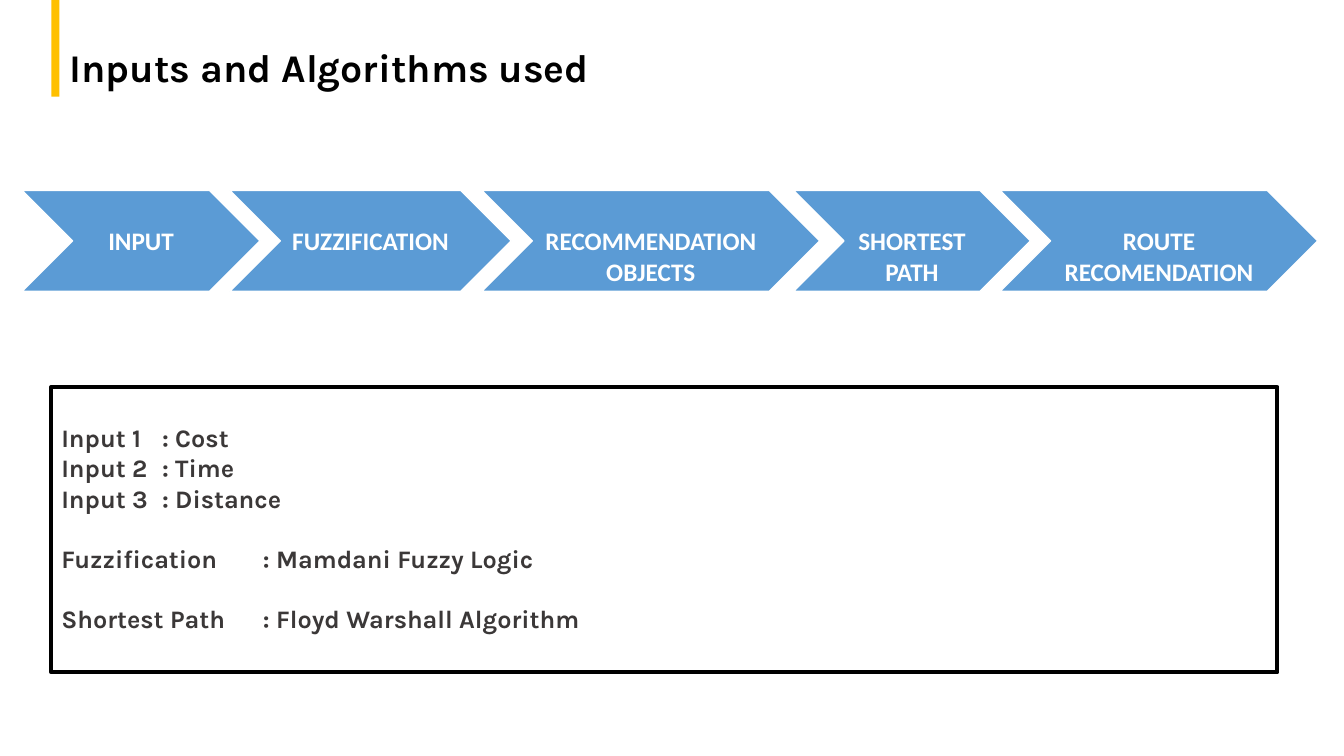
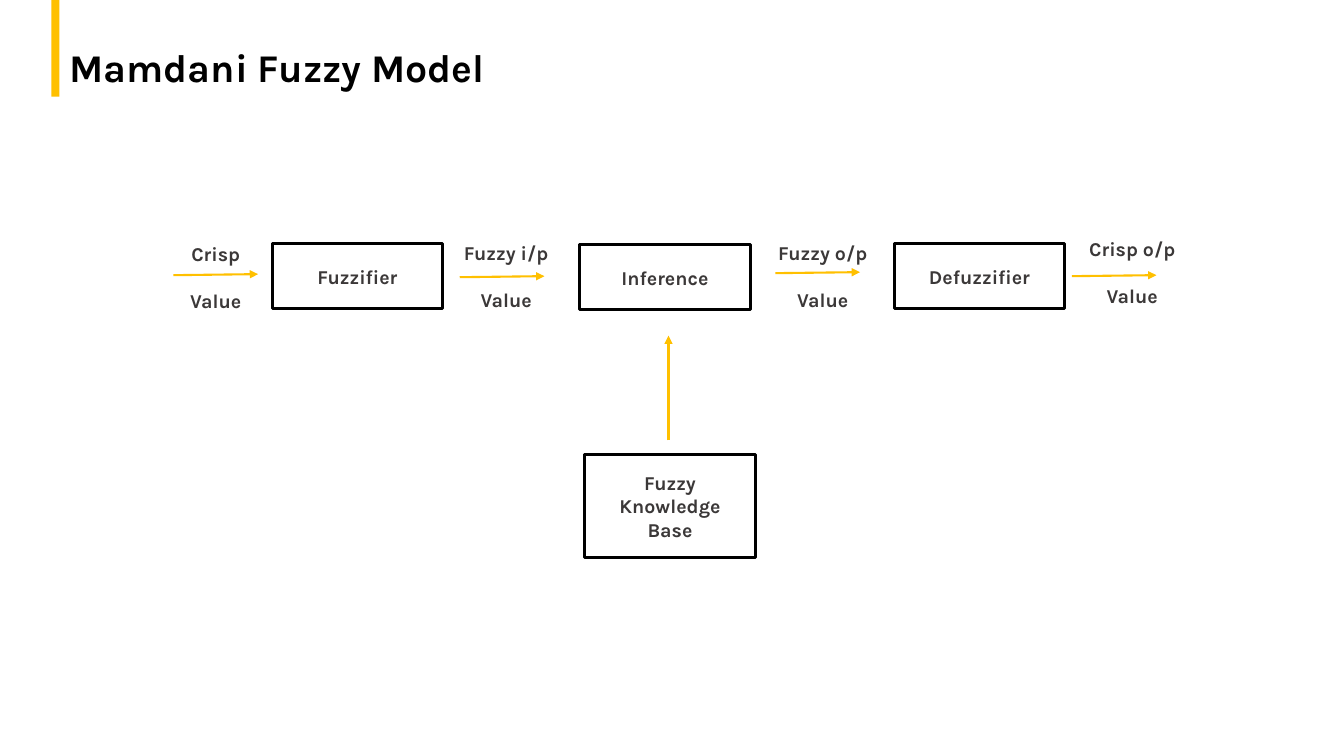
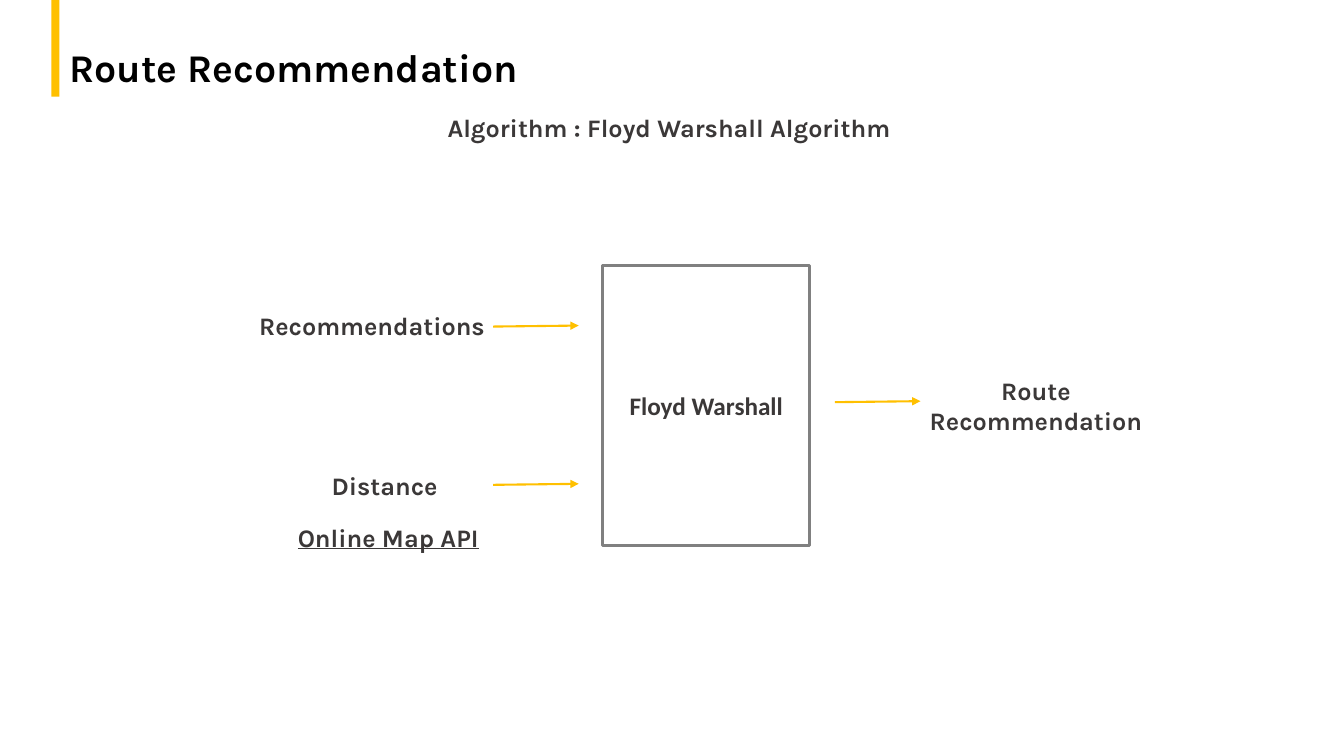
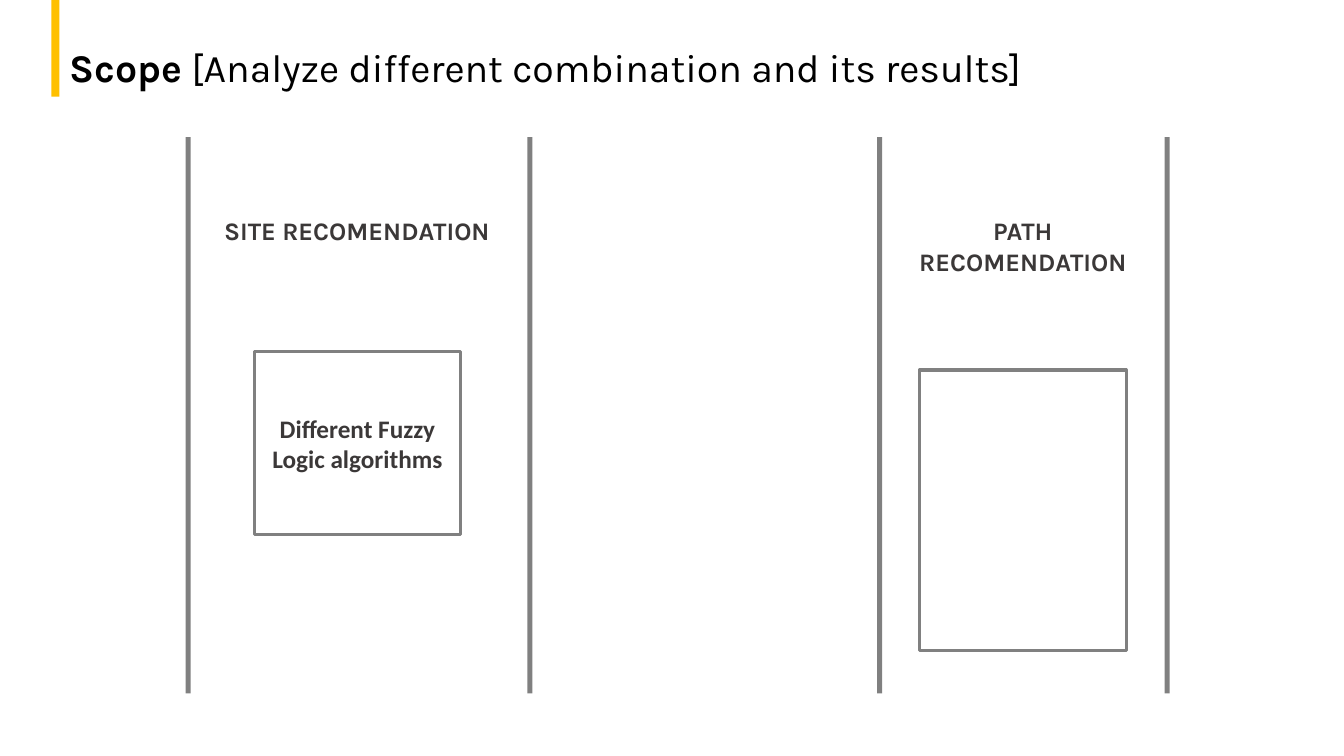
import pptx
import pptx.util
import pptx.dml.color
import pptx.enum.shapes
import pptx.enum.text
import pptx.oxml.ns
from lxml import etree

Inches = pptx.util.Inches
Pt = pptx.util.Pt
SHAPE = pptx.enum.shapes.MSO_SHAPE
ALIGN = pptx.enum.text.PP_ALIGN
ANCHOR = pptx.enum.text.MSO_ANCHOR

COLORS = {
    "accent": "FFC000",
    "chevron": "5B9BD5",
    "white": "FFFFFF",
    "black": "000000",
    "text": "3B3838",
    "gray": "808080",
}
HEADING_FONT = "Karla"
BODY_FONT = "Calibri"


def rgb(name):
    return pptx.dml.color.RGBColor.from_string(COLORS[name])


def style_font(font, size, color="text", family=HEADING_FONT, bold=True):
    font.name = family
    font.size = Pt(size)
    font.bold = bold
    font.color.rgb = rgb(color)


def write_lines(frame, lines, size=18, align=ALIGN.CENTER, anchor=ANCHOR.TOP,
                gap=0, gap_before=(), **font_style):
    """Fill a frame; lines whose index is in gap_before get extra space above."""
    frame.word_wrap = True
    frame.vertical_anchor = anchor
    for index, line in enumerate(lines):
        paragraph = frame.paragraphs[0] if index == 0 else frame.add_paragraph()
        paragraph.text = line
        paragraph.alignment = align
        if index in gap_before:
            paragraph.space_before = Pt(gap)
        style_font(paragraph.font, size, **font_style)


def add_block(slide, box, fill=None, line=None, line_width=2.25,
              kind=SHAPE.RECTANGLE):
    block = slide.shapes.add_shape(kind, *map(Inches, box))
    block.shadow.inherit = False
    if fill:
        block.fill.solid()
        block.fill.fore_color.rgb = rgb(fill)
    else:
        block.fill.background()
    if line:
        block.line.color.rgb = rgb(line)
        block.line.width = Pt(line_width)
    else:
        block.line.fill.background()
    return block


def add_label(slide, box, *lines, **text_style):
    label = slide.shapes.add_textbox(*map(Inches, box))
    write_lines(label.text_frame, lines, **text_style)
    return label


def add_framed_text(slide, box, *lines, line="gray", **text_style):
    framed = add_block(slide, box, line=line)
    write_lines(framed.text_frame, lines, anchor=ANCHOR.MIDDLE, **text_style)


def add_arrow(slide, start, end):
    arrow = slide.shapes.add_connector(
        pptx.enum.shapes.MSO_CONNECTOR.STRAIGHT, *map(Inches, start + end))
    arrow.line.color.rgb = rgb("accent")
    arrow.line.width = Pt(1.5)
    qn = pptx.oxml.ns.qn
    etree.SubElement(arrow.line._get_or_add_ln(), qn("a:tailEnd"), type="triangle")
    etree.SubElement(arrow._element.spPr, qn("a:effectLst"))


def add_titled_slide(deck, heading, detail="", width=6.17):
    """Title-only slide with the shared accent bar and title style."""
    slide = deck.slides.add_slide(deck.slide_layouts[5])
    add_block(slide, (0.51, 0, 0.08, 0.96), fill="accent")
    title = slide.shapes.title
    title.left, title.top = Inches(0.59), Inches(0.38)
    title.width, title.height = Inches(width), Inches(0.57)
    title.text_frame.auto_size = pptx.enum.text.MSO_AUTO_SIZE.NONE
    write_lines(title.text_frame, [heading], size=28, align=ALIGN.LEFT, color="black")
    if detail:
        detail_run = title.text_frame.paragraphs[0].add_run()
        detail_run.text = detail
        detail_run.font.bold = False
    return slide


def build_inputs(deck):
    slide = add_titled_slide(deck, "Inputs and Algorithms used")

    # Process chevrons
    steps = [
        (0.22, 2.36, "INPUT"),
        (2.28, 2.79, "FUZZIFICATION"),
        (4.78, 3.35, "RECOMMENDATION OBJECTS"),
        (7.87, 2.35, "SHORTEST PATH"),
        (9.92, 3.15, "ROUTE RECOMENDATION"),
    ]
    for left, width, name in steps:
        step = add_block(slide, (left, 1.89, width, 1), fill="chevron",
                         line="white", line_width=1, kind=SHAPE.CHEVRON)
        step.text_frame.margin_top = Inches(0.35)
        write_lines(step.text_frame, [name], color="white", family=BODY_FONT)

    # Inputs and algorithms panel
    panel = add_block(slide, (0.51, 3.84, 12.16, 2.83), fill="white",
                      line="black", line_width=3)
    panel.text_frame.margin_top = Inches(0.35)
    write_lines(panel.text_frame, [
        "Input 1\t: Cost",
        "Input 2\t: Time",
        "Input 3\t: Distance",
        "Fuzzification\t: Mamdani Fuzzy Logic",
        "Shortest Path\t: Floyd Warshall Algorithm",
    ], align=ALIGN.LEFT, gap=21.5, gap_before=(3, 4))


def build_fuzzy_model(deck):
    slide = add_titled_slide(deck, "Mamdani Fuzzy Model")

    # Model stages
    stages = [
        ((2.7, 2.42, 1.69, 0.64), ["Fuzzifier"]),
        ((5.75, 2.43, 1.69, 0.64), ["Inference"]),
        ((8.87, 2.42, 1.69, 0.64), ["Defuzzifier"]),
        ((5.8, 4.51, 1.69, 1.02), ["Fuzzy", "Knowledge", "Base"]),
    ]
    for box, lines in stages:
        add_framed_text(slide, box, *lines, line="black", size=14)

    # Values passed between stages: label corner, arrow start
    flows = [
        ("Crisp", (0.98, 2.35), (1.72, 2.73)),
        ("Fuzzy i/p", (3.86, 2.34), (4.56, 2.75)),
        ("Fuzzy o/p", (7, 2.34), (7.69, 2.71)),
        ("Crisp o/p", (10.07, 2.3), (10.63, 2.74)),
    ]
    for name, corner, (x, y) in flows:
        add_label(slide, corner + (2.32, 0.81), name, "Value",
                  size=14, gap=16.5, gap_before=(1,))
        add_arrow(slide, (x, y), (x + 0.84, y - 0.01))
    add_arrow(slide, (6.63, 4.37), (6.63, 3.33))


def build_route(deck):
    slide = add_titled_slide(deck, "Route Recommendation")
    add_label(slide, (3.54, 1.07, 6.19, 0.4), "Algorithm : Floyd Warshall Algorithm")

    # Inputs
    add_label(slide, (2.37, 3.03, 2.64, 0.4), "Recommendations")
    add_label(slide, (2.98, 4.62, 1.67, 0.4), "Distance")
    map_source = add_label(slide, (2.69, 5.13, 2.32, 0.4), "Online Map API")
    map_source.text_frame.paragraphs[0].font.underline = True

    # Algorithm and result
    add_framed_text(slide, (5.98, 2.63, 2.05, 2.78), "Floyd Warshall",
                    family=BODY_FONT)
    add_label(slide, (9, 3.67, 2.55, 0.71), "Route Recommendation")

    for x, y in [(4.89, 3.24), (4.89, 4.81), (8.28, 3.99)]:
        add_arrow(slide, (x, y), (x + 0.85, y - 0.01))


def build_scope(deck):
    slide = add_titled_slide(
        deck, "Scope", " [Analyze different combination and its results]", width=11)

    # Column rules
    for left in (1.84, 5.23, 8.7, 11.55):
        add_block(slide, (left, 1.36, 0.05, 5.52), fill="gray")

    # Column headings and boxes
    add_label(slide, (2.11, 2.09, 2.86, 0.71), "SITE RECOMENDATION")
    add_label(slide, (8.91, 2.09, 2.47, 0.71), "PATH RECOMENDATION")
    add_framed_text(slide, (2.52, 3.49, 2.05, 1.81),
                    "Different Fuzzy Logic algorithms", family=BODY_FONT)
    add_block(slide, (9.12, 3.67, 2.05, 2.78), fill="white", line="gray")


def main():
    deck = pptx.Presentation()
    deck.slide_width, deck.slide_height = Inches(13.33), Inches(7.5)
    build_inputs(deck)
    build_fuzzy_model(deck)
    build_route(deck)
    build_scope(deck)
    deck.save("out.pptx")


if __name__ == "__main__":
    main()
